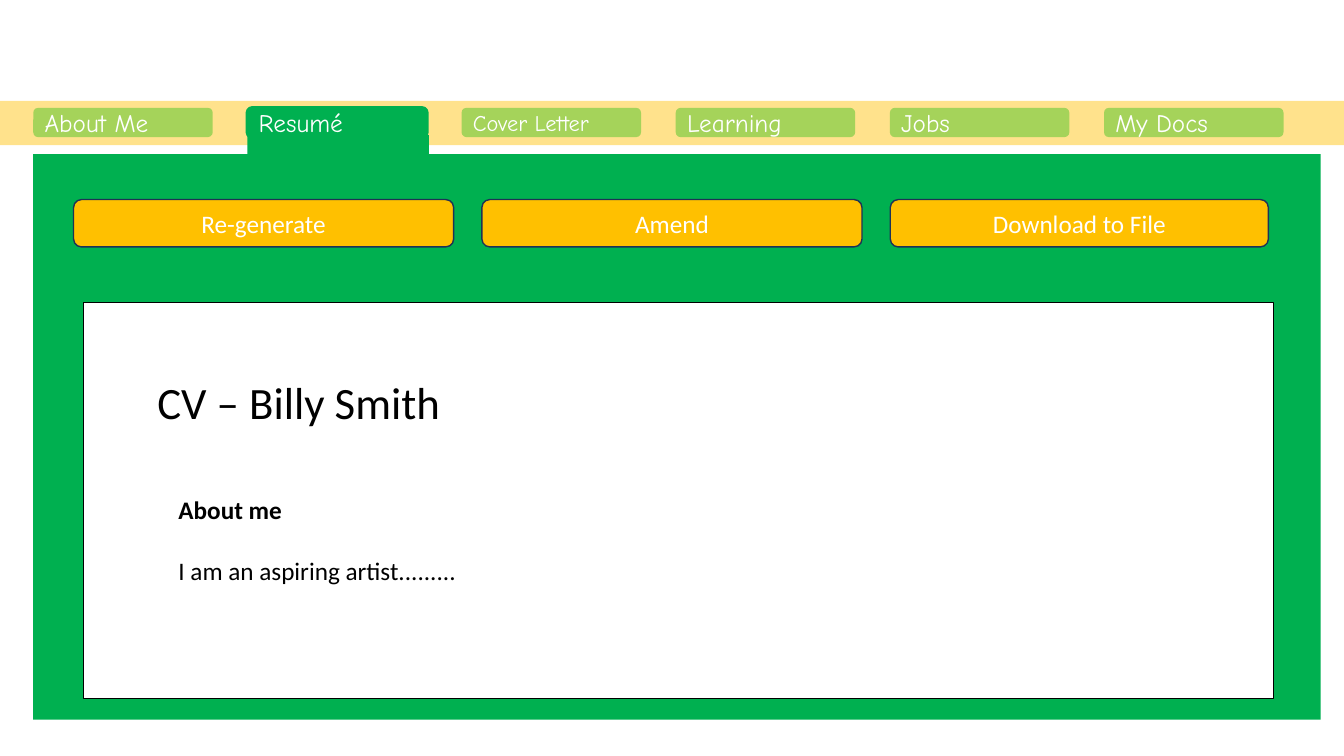
from pptx import Presentation
from pptx.dml.color import RGBColor
from pptx.enum.shapes import MSO_SHAPE as Preset
from pptx.enum.text import MSO_ANCHOR as Anchor, MSO_AUTO_SIZE as AutoSize, PP_ALIGN as Align
from pptx.oxml.ns import qn
from pptx.util import Inches, Pt
from lxml.etree import SubElement

TABS = [("About Me", 18), ("Resumé", 18), ("Cover Letter", 16),
        ("Learning", 18), ("Jobs", 18), ("My Docs", 18)]
ACTIVE_TAB = "Resumé"
BUTTONS = [("Re-generate", 3.77), ("Amend", 3.77), ("Download to File", 3.75)]
CV_TITLE = "CV – Billy Smith"
CV_LINES = [("About me", True, 0), ("I am an aspiring artist.........", False, 22)]

THEME = {
    "band": "FFC000", "tab": "92D050", "panel": "00B050", "button": "FFC000",
    "button_edge": "1E3256", "paper": "FFFFFF", "ink": "000000", "light": "FFFFFF",
    "tab_font": "Comic Neue", "font": "Calibri", "title_size": 32, "text_size": 18,
}

TAB_LEFT, TAB_PITCH, TAB_TOP, TAB_WIDTH, TAB_HEIGHT = 0.33, 2.124, 1.07, 1.78, 0.29
BUTTON_LEFT, BUTTON_PITCH, BUTTON_TOP, BUTTON_HEIGHT = 0.73, 4.05, 1.98, 0.47


def apply_format(target, values):
    for attribute, value in values.items():
        setattr(target, attribute, value)


def font_format(name, size, colour, bold=False):
    return {"name": THEME[name], "size": Pt(size), "bold": bold}, RGBColor.from_string(THEME[colour])


def style_font(font, name, size, colour, bold=False):
    values, rgb = font_format(name, size, colour, bold)
    apply_format(font, values)
    font.color.rgb = rgb


def add_block(slide, preset, box, fill, opacity=100, edge=None, edge_width=1):
    block = slide.shapes.add_shape(preset, *map(Inches, box))
    block.shadow.inherit = False
    block.fill.solid()
    block.fill.fore_color.rgb = RGBColor.from_string(THEME[fill])
    if opacity < 100:
        colour = block.fill._xPr.find(qn("a:solidFill"))[0]
        SubElement(colour, qn("a:alpha"), val=str(opacity * 1000))
    if edge:
        block.line.color.rgb = RGBColor.from_string(THEME[edge])
        block.line.width = Pt(edge_width)
    else:
        block.line.fill.background()
    return block


def label(block, words, align, font, size):
    apply_format(block.text_frame, {"word_wrap": True, "vertical_anchor": Anchor.MIDDLE})
    paragraph = block.text_frame.paragraphs[0]
    apply_format(paragraph, {"text": words, "alignment": align})
    style_font(paragraph.font, font, size, "light")


def place(placeholder, box):
    apply_format(placeholder, dict(zip(("left", "top", "width", "height"), map(Inches, box))))
    apply_format(placeholder.text_frame, {
        "word_wrap": True, "auto_size": AutoSize.NONE, "vertical_anchor": Anchor.TOP})
    tree = placeholder._element.getparent()
    tree.append(placeholder._element)


def add_tabs(slide):
    for index, (words, size) in enumerate(TABS):
        box = (TAB_LEFT + index * TAB_PITCH, TAB_TOP, TAB_WIDTH, TAB_HEIGHT)
        if words == ACTIVE_TAB:
            tab = add_block(slide, Preset.ROUNDED_RECTANGLE, box, "panel", edge="panel", edge_width=2.5)
            add_block(slide, Preset.RECTANGLE, (box[0], 1.34, 1.8, TAB_HEIGHT), "panel")
        else:
            tab = add_block(slide, Preset.ROUNDED_RECTANGLE, box, "tab", opacity=82)
        label(tab, words, Align.LEFT, "tab_font", size)


def add_buttons(slide):
    for index, (words, width) in enumerate(BUTTONS):
        box = (BUTTON_LEFT + index * BUTTON_PITCH, BUTTON_TOP, width, BUTTON_HEIGHT)
        button = add_block(slide, Preset.ROUNDED_RECTANGLE, box, "button", edge="button_edge")
        label(button, words, Align.CENTER, "font", THEME["text_size"])


def add_cv(slide):
    add_block(slide, Preset.RECTANGLE, (0.83, 3, 11.8, 3.93), "paper", edge="ink")
    heading, body = slide.shapes.title, slide.placeholders[1]
    place(heading, (1.46, 3.67, 3.77, 0.64))
    place(body, (1.67, 4.85, 3, 1.01))
    heading.text_frame.text = CV_TITLE
    heading_line = heading.text_frame.paragraphs[0]
    heading_line.alignment = Align.LEFT
    style_font(heading_line.font, "font", THEME["title_size"], "ink")
    body.text_frame.text = "\n".join(words for words, _, _ in CV_LINES)
    for paragraph, (_, bold, gap) in zip(body.text_frame.paragraphs, CV_LINES):
        properties = paragraph._p.get_or_add_pPr()
        properties.set("marL", "0")
        properties.set("indent", "0")
        SubElement(properties, qn("a:buNone"))
        paragraph.space_before = Pt(gap)
        style_font(paragraph.font, "font", THEME["text_size"], "ink", bold)


def main():
    deck = Presentation()
    apply_format(deck, {"slide_width": Inches(13.33), "slide_height": Inches(7.5)})
    slide = deck.slides.add_slide(deck.slide_layouts[1])
    add_block(slide, Preset.RECTANGLE, (0, 1, 13.33, 0.44), "band", opacity=45)
    add_tabs(slide)
    add_block(slide, Preset.RECTANGLE, (0.33, 1.53, 12.77, 5.61), "panel")
    add_buttons(slide)
    add_cv(slide)
    deck.save("out.pptx")


if __name__ == "__main__":
    main()
